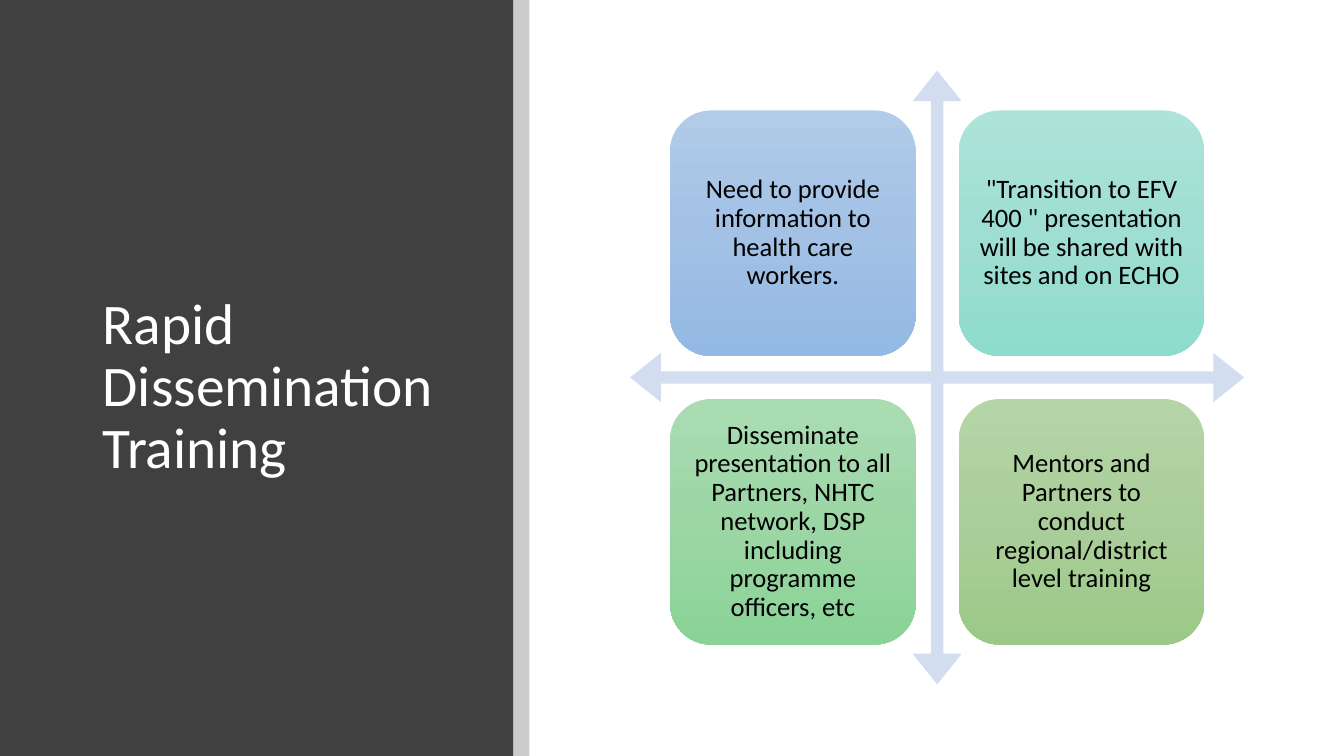
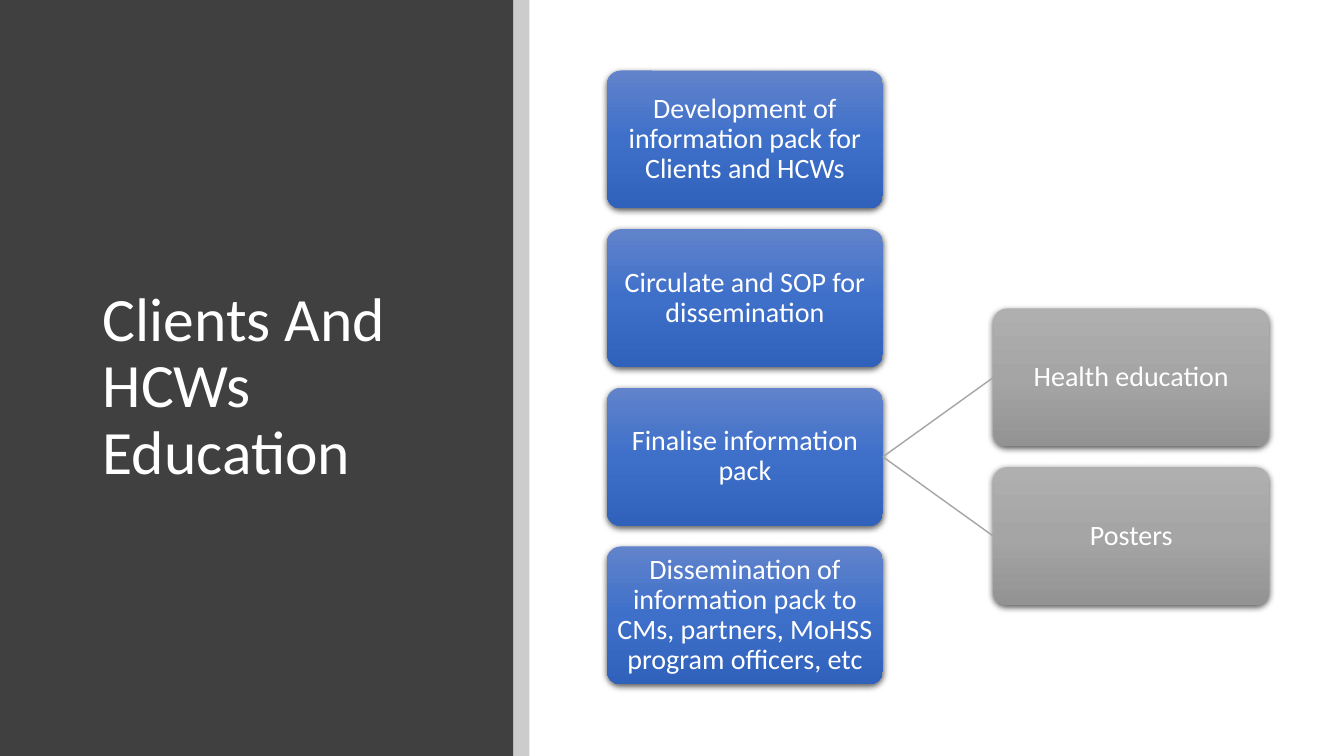
from copy import deepcopy
from dataclasses import dataclass

from lxml import etree
from pptx import Presentation
from pptx.dml.color import RGBColor
from pptx.enum.shapes import MSO_CONNECTOR as Connector, MSO_SHAPE as Shape
from pptx.enum.text import MSO_ANCHOR as Anchor, PP_ALIGN as Align
from pptx.oxml.ns import qn
from pptx.util import Inches, Pt


@dataclass(frozen=True)
class Theme:
    font: str = "Calibri"
    white: str = "FFFFFF"
    black: str = "000000"
    panel: str = "404040"
    arrow: str = "D2DEEF"
    link: str = "A5A5A5"
    # Gradients run from top to bottom
    blue: tuple = ("6183CB", "3E70CA", "3062BB")
    grey: tuple = ("AFAFAF", "A5A5A5", "939393")
    tiles: tuple = (
        ("B1CBE9", "A3C1E5", "93B9E4"),
        ("ADE3D9", "9FDED2", "8EDCCE"),
        ("AADCB2", "9CD6A5", "8AD396"),
        ("B5D5A7", "AACE9A", "9CC987"),
    )
    tile_size: int = 19
    node_size: int = 20
    line_spacing: float = 0.9


THEME = Theme()
SLIDE_WIDTH, SLIDE_HEIGHT = 13.33, 7.5
PANEL_WIDTH, BAND_WIDTH = 5.09, 0.16


def rgb(value):
    return RGBColor.from_string(value)


def add_child(parent, tag, **attributes):
    return etree.SubElement(parent, qn(tag), attributes)


# --- Shared parts ---

def add_shape(slide, kind, box, fill, adjustments=()):
    """Add a borderless shape; fill is one colour or three gradient colours."""
    shape = slide.shapes.add_shape(kind, *map(Inches, box))
    shape.shadow.inherit = False
    shape.line.fill.background()
    for index, value in enumerate(adjustments):
        shape.adjustments[index] = value
    if isinstance(fill, str):
        shape.fill.solid()
        shape.fill.fore_color.rgb = rgb(fill)
        return shape
    shape.fill.gradient()
    shape.fill.gradient_angle = 270
    stops = shape._element.spPr.find(".//" + qn("a:gsLst"))
    stops.insert(1, deepcopy(stops[0]))
    for stop, color, position in zip(shape.fill.gradient_stops, fill, (0, 0.5, 1)):
        stop.color.rgb = rgb(color)
        stop.position = position
    return shape


def set_text(shape, text, size, color, align=Align.CENTER, inset=None):
    frame = shape.text_frame
    frame.word_wrap = True
    frame.vertical_anchor = Anchor.MIDDLE
    if inset is not None:
        frame.margin_left = frame.margin_right = Inches(inset)
        frame.margin_top = frame.margin_bottom = Inches(inset)
    paragraph = frame.paragraphs[0]
    paragraph.text = text
    paragraph.alignment = align
    paragraph.line_spacing = THEME.line_spacing
    paragraph.font.name = THEME.font
    paragraph.font.size = Pt(size)
    paragraph.font.color.rgb = rgb(color)


def add_drop_shadow(shape):
    effects = shape._element.spPr.find(qn("a:effectLst"))
    shadow = add_child(effects, "a:outerShdw", blurRad=str(Pt(4.5)),
                       dist=str(Pt(1.5)), dir="5400000", algn="ctr", rotWithShape="0")
    color = add_child(shadow, "a:srgbClr", val=THEME.black)
    add_child(color, "a:alpha", val="63000")


def add_title_slide(presentation, title, size):
    """Add a slide with the dark title panel and its edge band."""
    slide = presentation.slides.add_slide(presentation.slide_layouts[6])
    add_shape(slide, Shape.RECTANGLE, (0, 0, PANEL_WIDTH, SLIDE_HEIGHT), THEME.panel)
    band = add_shape(slide, Shape.RECTANGLE,
                     (PANEL_WIDTH, 0, BAND_WIDTH, SLIDE_HEIGHT), THEME.black)
    add_child(band._element.spPr.find(".//" + qn("a:srgbClr")), "a:alpha", val="20000")
    title_box = slide.shapes.add_textbox(*map(Inches, (0.92, 0.89, 3.65, 5.91)))
    set_text(title_box, title, size, THEME.white, Align.LEFT)
    return slide


# --- Four tiles around a crossed arrow ---

def add_tile_matrix(slide, left, top, side, texts):
    add_shape(slide, Shape.QUAD_ARROW, (left, top, side, side), THEME.arrow,
              (0.02, 0.04, 0.05))
    tile_side = 0.4 * side
    margin = 0.065 * side
    offsets = (margin, side - margin - tile_side)
    for index, (text, colors) in enumerate(zip(texts, THEME.tiles)):
        row, column = divmod(index, 2)
        box = (left + offsets[column], top + offsets[row], tile_side, tile_side)
        tile = add_shape(slide, Shape.ROUNDED_RECTANGLE, box, colors)
        set_text(tile, text, THEME.tile_size, THEME.black, inset=0.08)


# --- Column of steps with linked branches ---

def add_node(slide, box, text, colors):
    node = add_shape(slide, Shape.ROUNDED_RECTANGLE, box, colors, (0.1,))
    add_drop_shadow(node)
    set_text(node, text, THEME.node_size, THEME.white, inset=0.01)
    return node


def add_link(slide, parent, child):
    link = slide.shapes.add_connector(Connector.STRAIGHT, 0, 0, 0, 0)
    link.begin_connect(parent, 3)
    link.end_connect(child, 1)
    link.line.color.rgb = rgb(THEME.link)
    link.line.width = Pt(1)
    add_child(link._element.spPr, "a:effectLst")


def add_step_tree(slide, left, top, height, steps):
    """Stack the steps; each step's branches are centred to its right."""
    gap_ratio = 0.15
    count = len(steps)
    node_height = height / (count + gap_ratio * (count - 1))
    node_width = 2 * node_height
    pitch = node_height * (1 + gap_ratio)
    branch_left = left + 1.4 * node_width
    for index, (text, branches) in enumerate(steps):
        step_top = top + index * pitch
        step = add_node(slide, (left, step_top, node_width, node_height),
                        text, THEME.blue)
        first_top = step_top - (len(branches) - 1) * pitch / 2
        for position, branch_text in enumerate(branches):
            box = (branch_left, first_top + position * pitch, node_width, node_height)
            add_link(slide, step, add_node(slide, box, branch_text, THEME.grey))


def main():
    presentation = Presentation()
    presentation.slide_width = Inches(SLIDE_WIDTH)
    presentation.slide_height = Inches(SLIDE_HEIGHT)

    training = add_title_slide(presentation, "Rapid Dissemination Training", 41)
    add_tile_matrix(training, 6.25, 0.7, 6.09, (
        "Need to provide information to health care workers.",
        '"Transition to EFV 400 " presentation will be shared with sites and on ECHO',
        "Disseminate presentation to all Partners, NHTC network, DSP including "
        "programme officers, etc",
        "Mentors and Partners to conduct regional/district level training",
    ))

    education = add_title_slide(presentation, "Clients And HCWs\vEducation", 44)
    add_step_tree(education, 6.02, 0.7, 6.09, (
        ("Development of information pack for Clients and HCWs", ()),
        ("Circulate and SOP for dissemination", ()),
        ("Finalise information pack", ("Health education", "Posters")),
        ("Dissemination of information pack to CMs, partners, MoHSS "
         "program officers, etc", ()),
    ))

    presentation.save("out.pptx")


if __name__ == "__main__":
    main()
